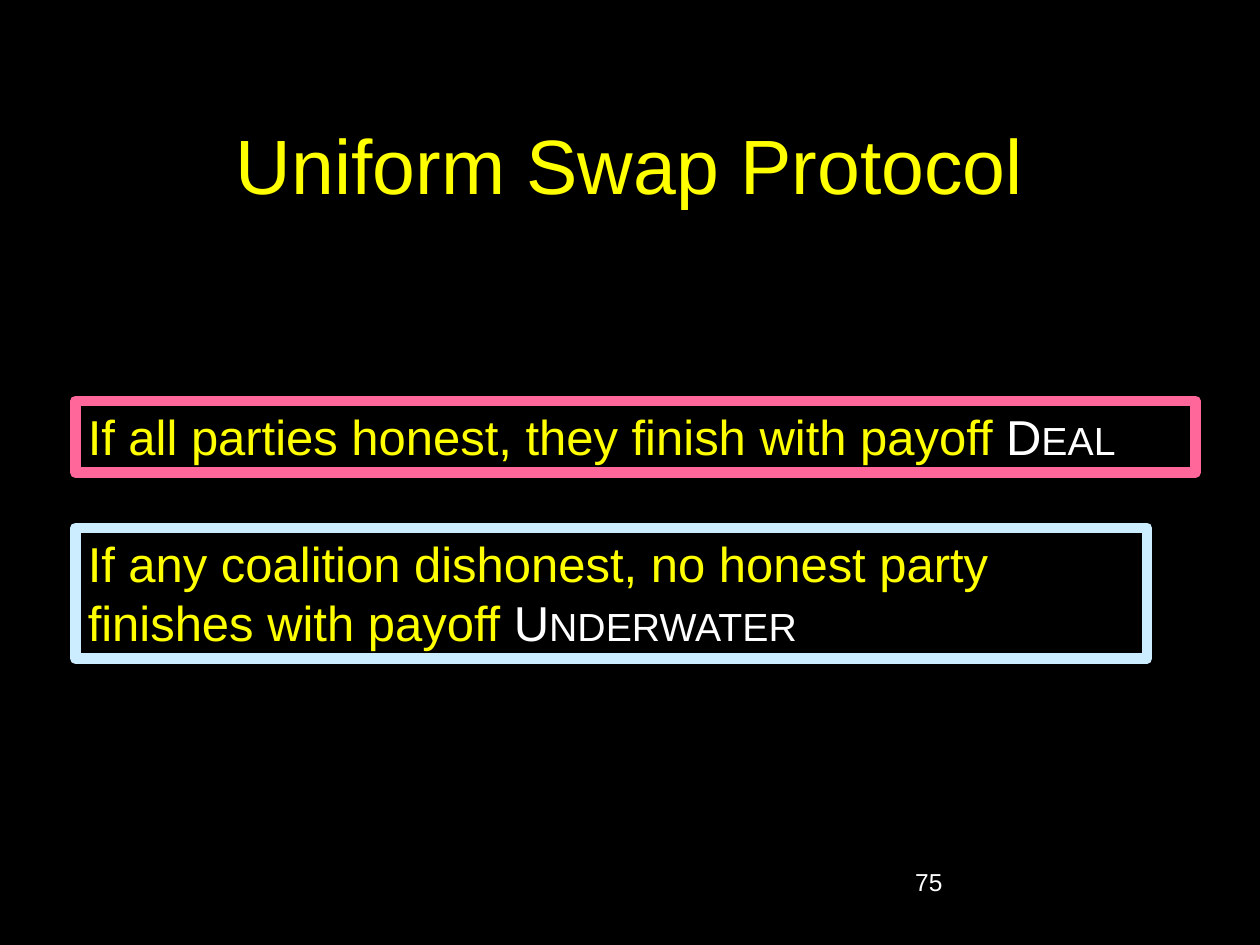
from pptx import Presentation
from pptx.dml.color import RGBColor
from pptx.enum.shapes import MSO_SHAPE
from pptx.enum.text import MSO_ANCHOR, MSO_AUTO_SIZE, PP_ALIGN
from pptx.util import Cm, Pt

RECTANGLE = MSO_SHAPE.RECTANGLE
TOP, MIDDLE = MSO_ANCHOR.TOP, MSO_ANCHOR.MIDDLE
LEFT, CENTER = PP_ALIGN.LEFT, PP_ALIGN.CENTER
GROW = MSO_AUTO_SIZE.SHAPE_TO_FIT_TEXT
COLORS = {"black": "000000", "yellow": "FFFF00", "white": "FFFFFF",
          "pink": "FF6699", "pale blue": "CCECFF"}
TITLE_ONLY = 5


class SlideBuilder:
    """Holds the style and the current slide, and adds its elements."""

    def __init__(self, deck, font="Arial"):
        self.font = font
        self.page = deck.slides.add_slide(deck.slide_layouts[TITLE_ONLY])
        self.paint(self.page.background.fill, "black")

    def paint(self, fill, color):
        fill.solid()
        fill.fore_color.rgb = RGBColor.from_string(COLORS[color])

    def format_span(self, span, size, color):
        span.font.name = self.font
        span.font.size = Pt(size)
        span.font.color.rgb = RGBColor.from_string(COLORS[color])

    def set_text(self, box, text, size, color, anchor=TOP, align=LEFT):
        frame = box.text_frame
        frame.text = text
        frame.word_wrap = True
        frame.vertical_anchor = anchor
        para = frame.paragraphs[0]
        para.alignment = align
        self.format_span(para.runs[0], size, color)
        return para

    def title(self, text, left, top, width, height):
        box = self.page.shapes.title
        box.left, box.top, box.width, box.height = map(Cm, (left, top, width, height))
        self.set_text(box, text, 44, "yellow", MIDDLE, CENTER)

    def label(self, text, left, top, width, height):
        box = self.page.shapes.add_textbox(*map(Cm, (left, top, width, height)))
        self.set_text(box, text, 14, "white")

    def claim(self, text, payoff, border, left, top, width, height):
        box = self.page.shapes.add_shape(RECTANGLE, *map(Cm, (left, top, width, height)))
        box.shadow.inherit = False
        self.paint(box.fill, "black")
        self.paint(box.line.fill, border)
        box.line.width = Pt(6)
        para = self.set_text(box, text, 28, "yellow")
        box.text_frame.auto_size = GROW
        span = para.add_run()
        span.text = payoff
        self.format_span(span, 28, "white")
        span._r.get_or_add_rPr().set("cap", "small")


def main():
    deck = Presentation()
    deck.slide_width, deck.slide_height = Cm(25.4), Cm(19.05)
    builder = SlideBuilder(deck)
    builder.title("Uniform Swap Protocol", 1.9, 1.7, 21.6, 3.18)
    builder.label("75", 18.2, 17.35, 5.3, 1.27)
    builder.claim("If all parties honest, they finish with payoff ", "Deal",
                  "pink", 1.52, 8.08, 22.58, 1.45)
    builder.claim("If any coalition dishonest, no honest party finishes with payoff ",
                  "Underwater", "pale blue", 1.52, 10.64, 21.6, 2.64)
    deck.save("out.pptx")


if __name__ == "__main__":
    main()
